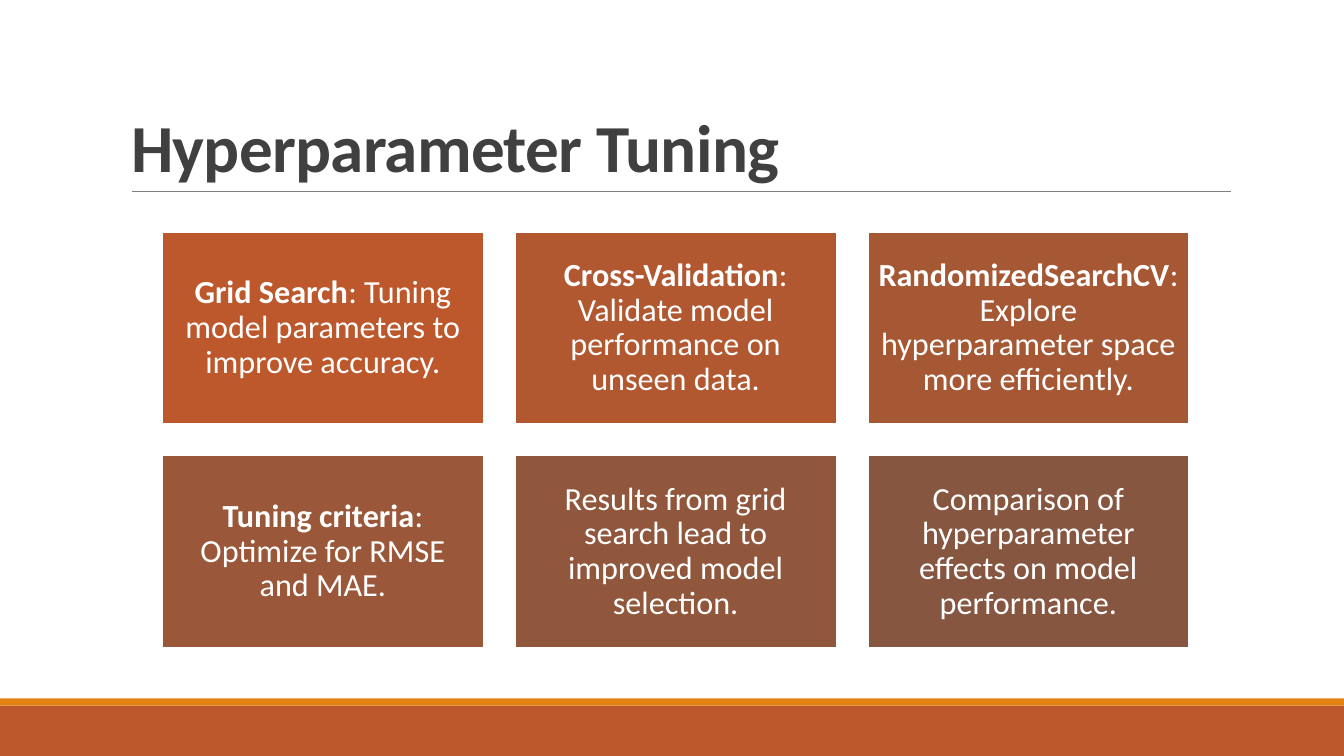
"""Build the hyperparameter tuning slide with its grid of six cards."""
import pptx
import pptx.util
import pptx.dml.color
import pptx.enum.shapes
import pptx.enum.text
import pptx.oxml

Cm, Pt = pptx.util.Cm, pptx.util.Pt
RECT = pptx.enum.shapes.MSO_SHAPE.RECTANGLE
ALIGN = pptx.enum.text.PP_ALIGN
ANCHOR = pptx.enum.text.MSO_ANCHOR

TITLE = "Hyperparameter Tuning"
CARDS = [
    ("Grid Search", ": Tuning model parameters to improve accuracy.", "BD582C"),
    ("Cross-Validation", ": Validate model performance on unseen data.", "B15831"),
    ("RandomizedSearchCV", ": Explore hyperparameter space more efficiently.", "A65835"),
    ("Tuning criteria", ": Optimize for RMSE and MAE.", "9B5739"),
    ("", "Results from grid search lead to improved model selection.", "90573D"),
    ("", "Comparison of hyperparameter effects on model performance.", "865640"),
]
COLORS = {"rust": "BD582C", "gold": "E48312", "rule": "808080",
          "title": "404040", "white": "FFFFFF"}
FONT = "Calibri"
WIDE, HIGH = 33.87, 19.05
COLS = 3
LEFT, TOP = 4.09, 5.84
CARD_W, CARD_H = 8.1, 4.85
STEP_X, STEP_Y = 8.89, 5.64


def rgb(code):
    return pptx.dml.color.RGBColor.from_string(code)


def add_box(slide, x, y, w, h, fill):
    box = slide.shapes.add_shape(RECT, Cm(x), Cm(y), Cm(w), Cm(h))
    box.shadow.inherit = False
    box.fill.solid()
    box.fill.fore_color.rgb = rgb(fill)
    box.line.fill.background()
    return box


def set_font(para, size, color):
    para.font.name = FONT
    para.font.size = Pt(size)
    para.font.color.rgb = rgb(color)


def add_rule(slide):
    kind = pptx.enum.shapes.MSO_CONNECTOR.STRAIGHT
    rule = slide.shapes.add_connector(kind, Cm(3.33), Cm(4.83), Cm(31.01), Cm(4.83))
    rule.line.color.rgb = rgb(COLORS["rule"])
    rule.line.width = Pt(0.5)
    props = rule.element.spPr
    props.append(props.makeelement(pptx.oxml.ns.qn("a:effectLst"), {}))


def set_title(slide):
    title = slide.shapes.title
    title.left, title.top = Cm(3.05), Cm(0.79)
    title.width, title.height = Cm(27.94), Cm(4.03)
    frame = title.text_frame
    frame.vertical_anchor = ANCHOR.BOTTOM
    para = frame.paragraphs[0]
    para.alignment = ALIGN.LEFT
    para.line_spacing = 0.85
    set_font(para, 48, COLORS["title"])
    para.font.bold = True
    run = para.add_run()
    run.text = TITLE
    run.font.bold = True
    run.font._element.set("spc", "-50")


def add_card(slide, index, head, body, fill):
    row, col = divmod(index, COLS)
    card = add_box(slide, LEFT + col * STEP_X, TOP + row * STEP_Y, CARD_W, CARD_H, fill)
    card.line.color.rgb = rgb(COLORS["white"])
    card.line.width = Pt(1.25)
    frame = card.text_frame
    frame.word_wrap = True
    frame.vertical_anchor = ANCHOR.MIDDLE
    frame.margin_left = frame.margin_right = Cm(0.25)
    frame.margin_top = frame.margin_bottom = Cm(0.25)
    para = frame.paragraphs[0]
    para.alignment = ALIGN.CENTER
    para.line_spacing = 0.9
    para.space_after = Pt(8)
    set_font(para, 23, COLORS["white"])
    for text, bold in ((head, True), (body, False)):
        if text:
            run = para.add_run()
            run.text = text
            run.font.bold = bold


def main():
    deck = pptx.Presentation()
    deck.slide_width, deck.slide_height = Cm(WIDE), Cm(HIGH)
    slide = deck.slides.add_slide(deck.slide_layouts.get_by_name("Title Only"))
    add_box(slide, 0, 17.78, WIDE, 1.27, COLORS["rust"])
    add_box(slide, 0, 17.6, WIDE, 0.18, COLORS["gold"])
    add_rule(slide)
    set_title(slide)
    for index, card in enumerate(CARDS):
        add_card(slide, index, *card)
    deck.save("out.pptx")


if __name__ == "__main__":
    main()
